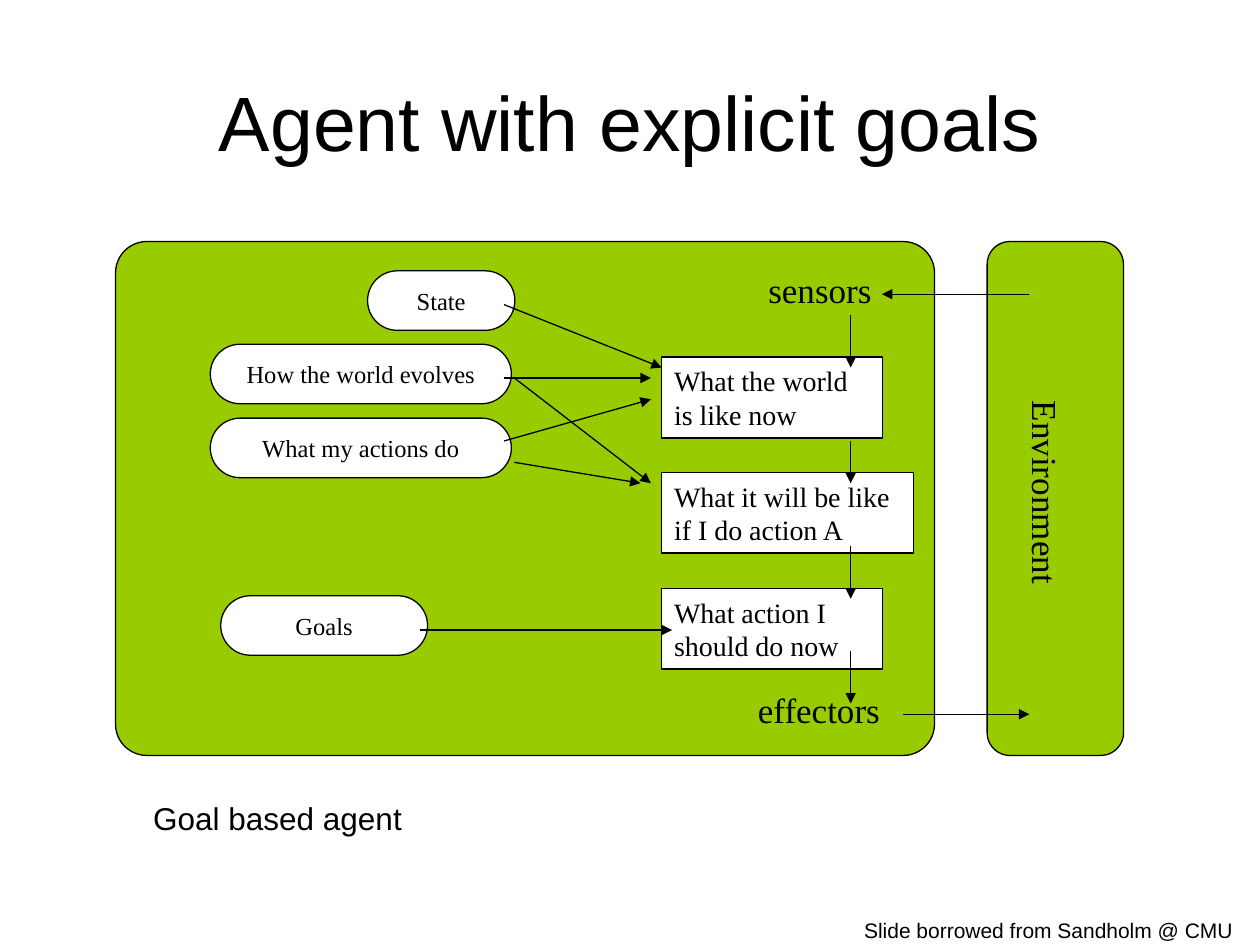
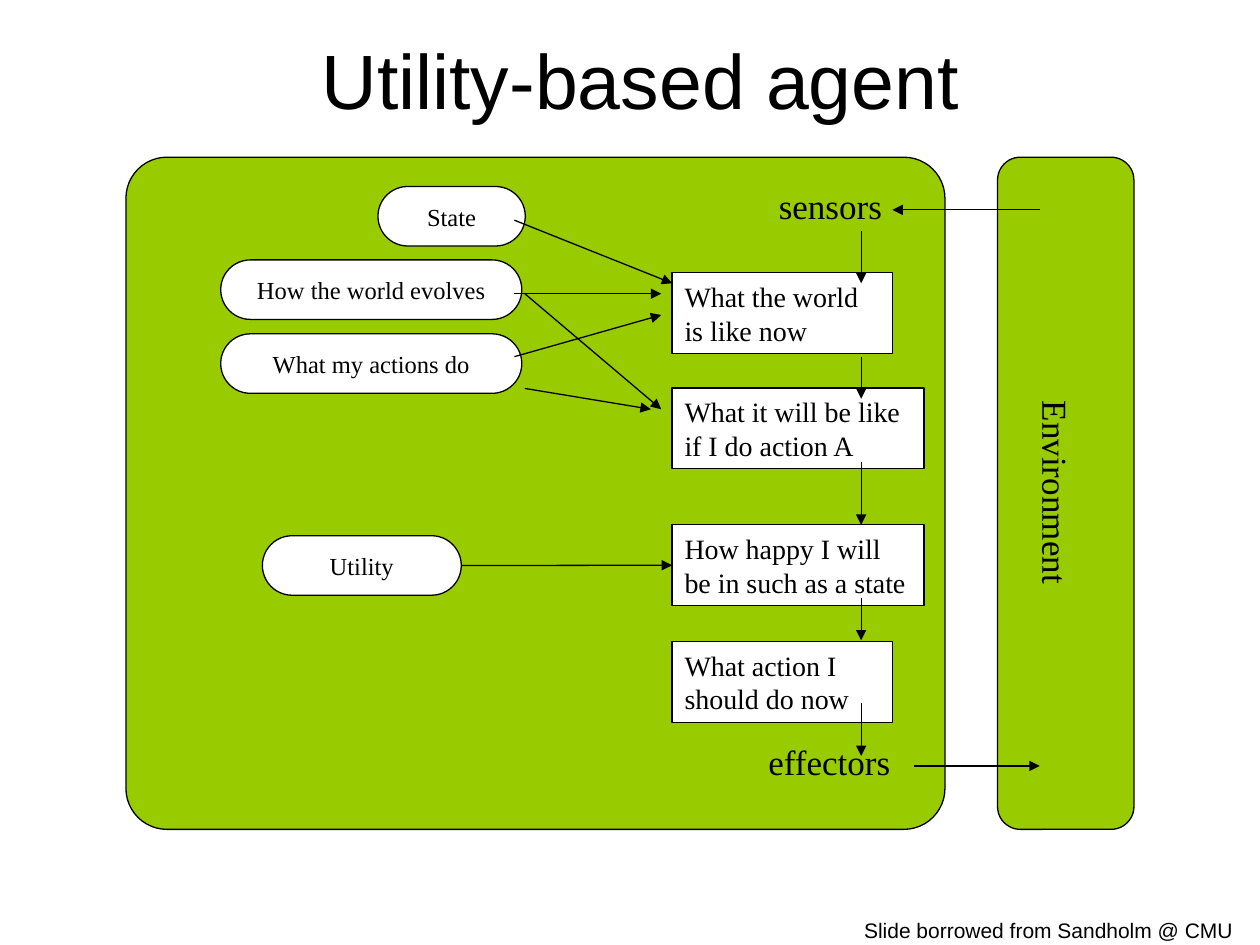
import pptx
import pptx.dml.color
import pptx.enum.shapes
import pptx.enum.text
import pptx.oxml.ns
import pptx.util
from lxml import etree

Cm = pptx.util.Cm
Shapes = pptx.enum.shapes.MSO_SHAPE
Anchor = pptx.enum.text.MSO_ANCHOR
Align = pptx.enum.text.PP_ALIGN

GREEN, WHITE, BLACK = "99CC00", "FFFFFF", "000000"
SANS, SERIF = "Arial", "Times New Roman"
CREDIT = "Slide borrowed from Sandholm @ CMU"

# Diagram measures in cm, from the top left corner of the agent panel
PANEL_WIDTH, ENVIRONMENT_LEFT, ENVIRONMENT_WIDTH = 16.51, 17.57, 2.75
PILL_HEIGHT, STEP_HEIGHT, LABEL_HEIGHT = 1.2, 1.63, 1.11
STEP_LEFT, FLOW_X = 11.01, 14.82
# The turned label: its middle line, its start from the slide top, its length
ENVIRONMENT_TEXT_X, ENVIRONMENT_TEXT_TOP, ENVIRONMENT_TEXT_LENGTH = 18.75, 7.83, 4.8

# Parts found in both diagrams: pills are (text, left, top, width),
# steps are (text, top, width), arrows are (x1, y1, x2, y2)
SHARED_PILLS = [
    ("State", 5.08, 0.59, 2.97),
    ("How the world evolves", 1.91, 2.07, 6.07),
    ("What my actions do", 1.91, 3.56, 6.07),
]
SHARED_STEPS = [
    ("What the world is like now", 2.33, 4.45),
    ("What it will be like if I do action A", 4.65, 5.08),
]
SHARED_ARROWS = [
    (18.42, 1.06, 15.45, 1.06),
    (7.83, 1.27, 11.01, 2.54),
    (7.83, 2.75, 10.79, 2.75),
    (7.83, 4.02, 10.79, 3.18),
]
SHARED_FLOW = [(1.48, 2.54), (4.02, 4.87)]

AGENTS = [
    {
        "title": "Agent with explicit goals", "title_area": (1.91, 0.84, 21.59, 3.18),
        "origin": (2.33, 4.87), "height": 10.36,
        "pill": ("Goals", 2.12, 7.14, 4.17),
        "steps": [("What action I should do now", 6.99, 4.45)],
        "flow": [(6.14, 7.2), (8.26, 9.31)],
        "arrows": [(6.14, 7.83, 11.22, 7.83),
                   (8.04, 2.75, 10.79, 4.87), (8.04, 4.45, 10.58, 4.87)],
        "effectors_top": 8.89, "output_y": 9.53,
        "caption": "Goal based agent",
    },
    {
        "title": "Utility-based agent", "title_area": (2.12, 0.41, 21.59, 2.34),
        "origin": (2.54, 3.17), "height": 13.55,
        "pill": ("Utility", 2.75, 7.63, 4.01),
        "steps": [("How happy I will be in such as a state", 7.41, 5.08),
                  ("What action I should do now", 9.76, 4.45)],
        "flow": [(6.14, 7.41), (8.89, 9.74), (11.0, 12.07)],
        "arrows": [(8.04, 2.75, 10.79, 5.08), (8.04, 4.66, 10.58, 5.08)],
        "joined_step": "How happy I will be in such as a state",
        "effectors_top": 11.63, "output_y": 12.27,
    },
]


def colour(value):
    return pptx.dml.color.RGBColor.from_string(value)


def write(shape, text, size, font=SERIF, align=Align.LEFT, anchor=Anchor.MIDDLE):
    frame = shape.text_frame
    frame.text = text
    frame.word_wrap = True
    frame.vertical_anchor = anchor
    para = frame.paragraphs[0]
    para.alignment = align
    for span in para.runs:
        span.font.size = pptx.util.Pt(size)
        span.font.name = font
        span.font.color.rgb = colour(BLACK)


def add_box(page, kind, area, fill, corner=None):
    box = page.shapes.add_shape(kind, *map(Cm, area))
    box.shadow.inherit = False
    box.fill.solid()
    box.fill.fore_color.rgb = colour(fill)
    box.line.color.rgb = colour(BLACK)
    box.line.width = pptx.util.Pt(0.75)
    if corner is not None:
        box.adjustments[0] = corner
    return box


def add_label(page, text, area, size, font=SERIF, anchor=Anchor.TOP, align=Align.LEFT):
    label = page.shapes.add_textbox(*map(Cm, area))
    write(label, text, size, font, align, anchor)
    return label


def add_arrow(page, x1, y1, x2, y2):
    arrow = page.shapes.add_connector(
        pptx.enum.shapes.MSO_CONNECTOR.STRAIGHT, Cm(x1), Cm(y1), Cm(x2), Cm(y2))
    arrow.line.color.rgb = colour(BLACK)
    arrow.line.width = pptx.util.Pt(0.75)
    qn = pptx.oxml.ns.qn
    etree.SubElement(arrow.line._get_or_add_ln(), qn("a:tailEnd"), type="triangle")
    etree.SubElement(arrow._element.spPr, qn("a:effectLst"))
    return arrow


def add_agent(deck, agent):
    page = deck.slides.add_slide(deck.slide_layouts[6])
    left, top = agent["origin"]
    height = agent["height"]

    # Title
    add_label(page, agent["title"], agent["title_area"], 44, SANS,
              anchor=Anchor.MIDDLE, align=Align.CENTER)

    # Agent panel and environment bar
    rounded = Shapes.ROUNDED_RECTANGLE
    add_box(page, rounded, (left, top, PANEL_WIDTH, height), GREEN, 0.061)
    add_box(page, rounded, (left + ENVIRONMENT_LEFT, top, ENVIRONMENT_WIDTH, height),
            GREEN, 0.167)
    length = ENVIRONMENT_TEXT_LENGTH
    environment = add_label(
        page, "Environment",
        (left + ENVIRONMENT_TEXT_X - length / 2,
         ENVIRONMENT_TEXT_TOP + (length - LABEL_HEIGHT) / 2, length, LABEL_HEIGHT), 20)
    environment.rotation = 90

    # Knowledge pills and reasoning steps
    for text, x, y, width in SHARED_PILLS + [agent["pill"]]:
        pill = add_box(page, rounded, (left + x, top + y, width, PILL_HEIGHT), WHITE, 0.5)
        write(pill, text, 14, align=Align.CENTER)
    steps = {}
    for text, y, width in SHARED_STEPS + agent["steps"]:
        area = (left + STEP_LEFT, top + y, width, STEP_HEIGHT)
        steps[text] = add_box(page, Shapes.RECTANGLE, area, WHITE)
        write(steps[text], text, 16)

    # Sensors and effectors
    for text, x, y in [("sensors", 12.91, 0.42), ("effectors", 12.7, agent["effectors_top"])]:
        add_label(page, text, (left + x, top + y, 3.3, LABEL_HEIGHT), 20)

    # Arrows
    flow = [(FLOW_X, start, FLOW_X, end) for start, end in SHARED_FLOW + agent["flow"]]
    output = (15.88, agent["output_y"], 18.42, agent["output_y"])
    for x1, y1, x2, y2 in SHARED_ARROWS + agent["arrows"] + flow + [output]:
        add_arrow(page, left + x1, top + y1, left + x2, top + y2)
    if "joined_step" in agent:
        arrow = add_arrow(page, left, top, left, top)
        arrow.begin_connect(pill, 3)
        arrow.end_connect(steps[agent["joined_step"]], 1)

    # Caption and credit
    if "caption" in agent:
        add_label(page, agent["caption"], (2.84, 15.98, 6.5, 1.02), 18, SANS)
    add_label(page, CREDIT, (17.17, 18.37, 8.2, 0.76), 12, SANS)


def main():
    deck = pptx.Presentation()
    deck.slide_width, deck.slide_height = Cm(25.4), Cm(19.05)
    for agent in AGENTS:
        add_agent(deck, agent)
    deck.save("out.pptx")


if __name__ == "__main__":
    main()
